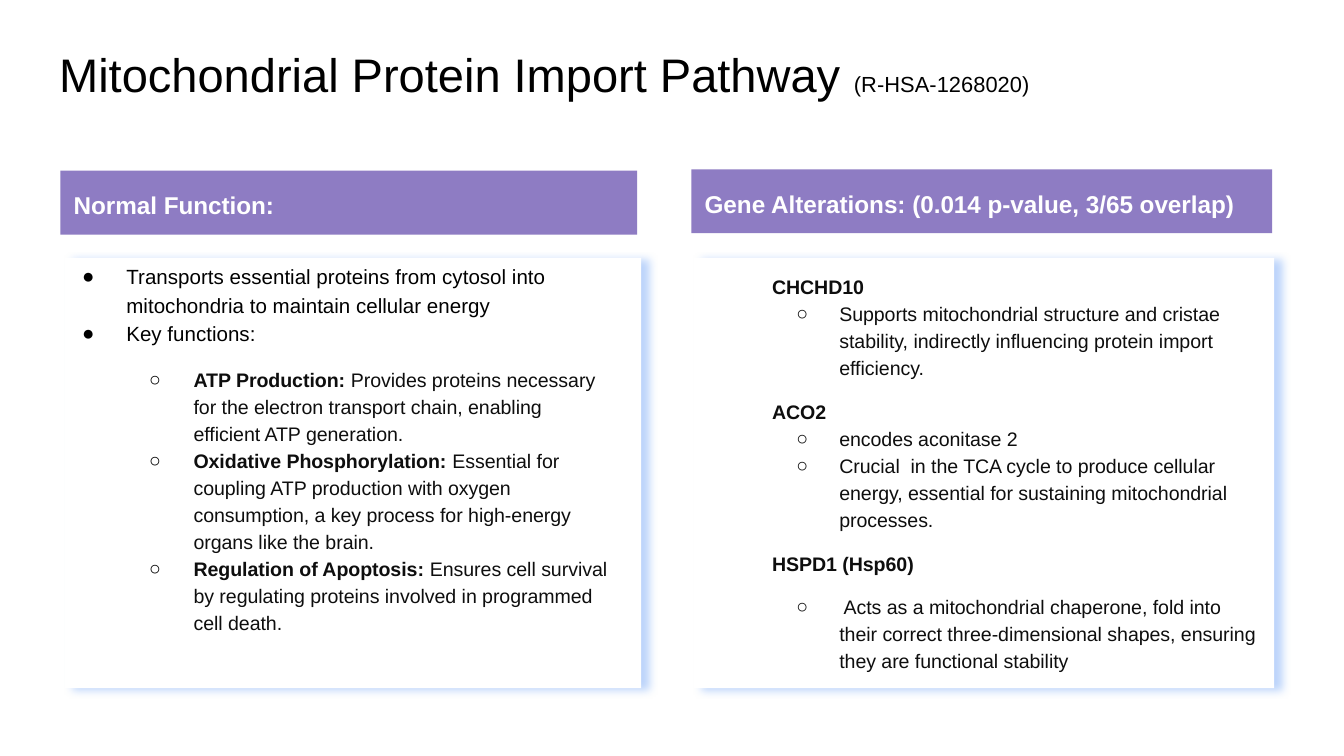
from lxml import etree
from pptx import Presentation
from pptx.dml.color import RGBColor
from pptx.enum.shapes import MSO_SHAPE
from pptx.enum.text import MSO_ANCHOR, MSO_AUTO_SIZE, PP_ALIGN
from pptx.oxml.ns import qn
from pptx.util import Pt

RECTANGLE = MSO_SHAPE.RECTANGLE
TOP, MIDDLE, BOTTOM = MSO_ANCHOR.TOP, MSO_ANCHOR.MIDDLE, MSO_ANCHOR.BOTTOM
NO_AUTOFIT = MSO_AUTO_SIZE.NONE
LEFT = PP_ALIGN.LEFT

PX = 4572
COLORS = {"black": "000000", "ink": "0E0E0E", "white": "FFFFFF",
          "purple": "8E7CC3", "glow": "7BAAF7"}
FRAME = {"word_wrap": True, "auto_size": NO_AUTOFIT,
         "margin_left": 20 * PX, "margin_right": 20 * PX,
         "margin_top": 20 * PX, "margin_bottom": 20 * PX}


def add_runs(paragraph, runs, size, color):
    for text, bold in runs:
        run = paragraph.add_run()
        run.text = text
        font_format = {"name": "Arial", "size": Pt(size), "bold": bold}
        for key, value in font_format.items():
            setattr(run.font, key, value)
        run.font.color.rgb = RGBColor.from_string(COLORS[color])


def format_frame(frame, anchor):
    for key, value in {**FRAME, "vertical_anchor": anchor}.items():
        setattr(frame, key, value)


prs = Presentation()
prs.slide_width, prs.slide_height = 2000 * PX, 1125 * PX
slide = prs.slides.add_slide(prs.slide_layouts[3])
shapes = slide.shapes
title, functions, genes = slide.placeholders

headers = [
    ("Normal Function:", (90, 254, 858, 95)),
    ("Gene Alterations: (0.014 p-value, 3/65 overlap)", (1029, 252, 864, 95)),
]
for heading, box in headers:
    header = shapes.add_shape(RECTANGLE, *[n * PX for n in box])
    header.shadow.inherit = False
    header.fill.solid()
    header.fill.fore_color.rgb = RGBColor.from_string(COLORS["purple"])
    header.line.fill.background()
    format_frame(header.text_frame, MIDDLE)
    paragraph = header.text_frame.paragraphs[0]
    paragraph.alignment = LEFT
    paragraph.line_spacing = 1.15
    add_runs(paragraph, [(heading, True)], 13, "white")

for left, width in [(96, 858), (1032, 864)]:
    panel = shapes.add_shape(RECTANGLE, left * PX, 384 * PX, width * PX, 640 * PX)
    panel.shadow.inherit = False
    panel.fill.solid()
    panel.fill.fore_color.rgb = RGBColor.from_string(COLORS["white"])
    panel.line.fill.background()
    effects = panel._element.spPr.find(qn("a:effectLst"))
    glow = etree.SubElement(effects, qn("a:outerShdw"), blurRad=str(Pt(4.5)),
                            dist=str(Pt(4.5)), dir=str(17 * 60000),
                            algn="bl", rotWithShape="0")
    tint = etree.SubElement(glow, qn("a:srgbClr"), val=COLORS["glow"])
    etree.SubElement(tint, qn("a:alpha"), val="50000")

placements = [
    (functions, (68, 368, 858, 672), TOP),
    (genes, (1029, 384, 864, 640), TOP),
    (title, (68, 47, 1864, 125), BOTTOM),
]
for placeholder, box, anchor in placements:
    sides = zip(("left", "top", "width", "height"), box)
    for side, length in sides:
        setattr(placeholder, side, length * PX)
    format_frame(placeholder.text_frame, anchor)
    shapes._spTree.append(placeholder._element)

title_line = title.text_frame.paragraphs[0]
title_line.alignment = LEFT
add_runs(title_line, [("Mitochondrial Protein Import Pathway ", False)], 25.2, "black")
add_runs(title_line, [("(R-HSA-1268020)", False)], 11.7, "black")

STYLES = {
    "point": {"level": 0, "margin": 100, "indent": -66, "bullet": "●",
              "size": 11, "color": "black", "bullet_color": "black"},
    "function": {"level": 1, "margin": 200, "indent": -66, "bullet": "○",
                 "size": 10.5, "color": "ink", "bullet_color": "black"},
    "gene": {"level": 0, "margin": 100, "indent": 0, "bullet": None,
             "size": 10.5, "color": "ink"},
    "role": {"level": 1, "margin": 200, "indent": -64, "bullet": "○",
             "size": 10.5, "color": "ink", "bullet_color": "ink"},
}
lists = [
    (functions, [
        ("point", 0, [("Transports essential proteins from cytosol into mitochondria "
                       "to maintain cellular energy", False)]),
        ("point", 0, [("Key functions:", False)]),
        ("function", 10, [("ATP Production:", True),
                          (" Provides proteins necessary for the electron transport "
                           "chain, enabling efficient ATP generation.", False)]),
        ("function", 0, [("Oxidative Phosphorylation:", True),
                         (" Essential for coupling ATP production with oxygen "
                          "consumption, a key process for high-energy organs like "
                          "the brain.", False)]),
        ("function", 0, [("Regulation of Apoptosis:", True),
                         (" Ensures cell survival by regulating proteins involved in "
                          "programmed cell death.", False)]),
    ]),
    (genes, [
        ("gene", 0, [("CHCHD10", True)]),
        ("role", 0, [("Supports mitochondrial structure and cristae stability, "
                      "indirectly influencing protein import efficiency.", False)]),
        ("gene", 9, [("ACO2", True)]),
        ("role", 0, [("encodes aconitase 2", False)]),
        ("role", 0, [("Crucial  in the TCA cycle to produce cellular energy, "
                      "essential for sustaining mitochondrial processes.", False)]),
        ("gene", 9, [("HSPD1 (Hsp60)", True)]),
        ("role", 9, [(" Acts as a mitochondrial chaperone, fold into their correct "
                      "three-dimensional shapes, ensuring they are functional "
                      "stability", False)]),
    ]),
]
for placeholder, items in lists:
    frame = placeholder.text_frame
    for index, (kind, space, runs) in enumerate(items):
        style = STYLES[kind]
        paragraph = frame.add_paragraph() if index else frame.paragraphs[0]
        spacing = {"level": style["level"], "alignment": LEFT, "line_spacing": 1.15,
                   "space_before": Pt(space), "space_after": Pt(0)}
        for key, value in spacing.items():
            setattr(paragraph, key, value)
        properties = paragraph._p.get_or_add_pPr()
        properties.set("marL", str(style["margin"] * PX))
        properties.set("indent", str(style["indent"] * PX))
        if style["bullet"]:
            bullet_color = etree.SubElement(properties, qn("a:buClr"))
            etree.SubElement(bullet_color, qn("a:srgbClr"),
                             val=COLORS[style["bullet_color"]])
            etree.SubElement(properties, qn("a:buFont"), typeface="Arial")
            etree.SubElement(properties, qn("a:buChar"), char=style["bullet"])
        else:
            etree.SubElement(properties, qn("a:buNone"))
        add_runs(paragraph, runs, style["size"], style["color"])

prs.save("out.pptx")
